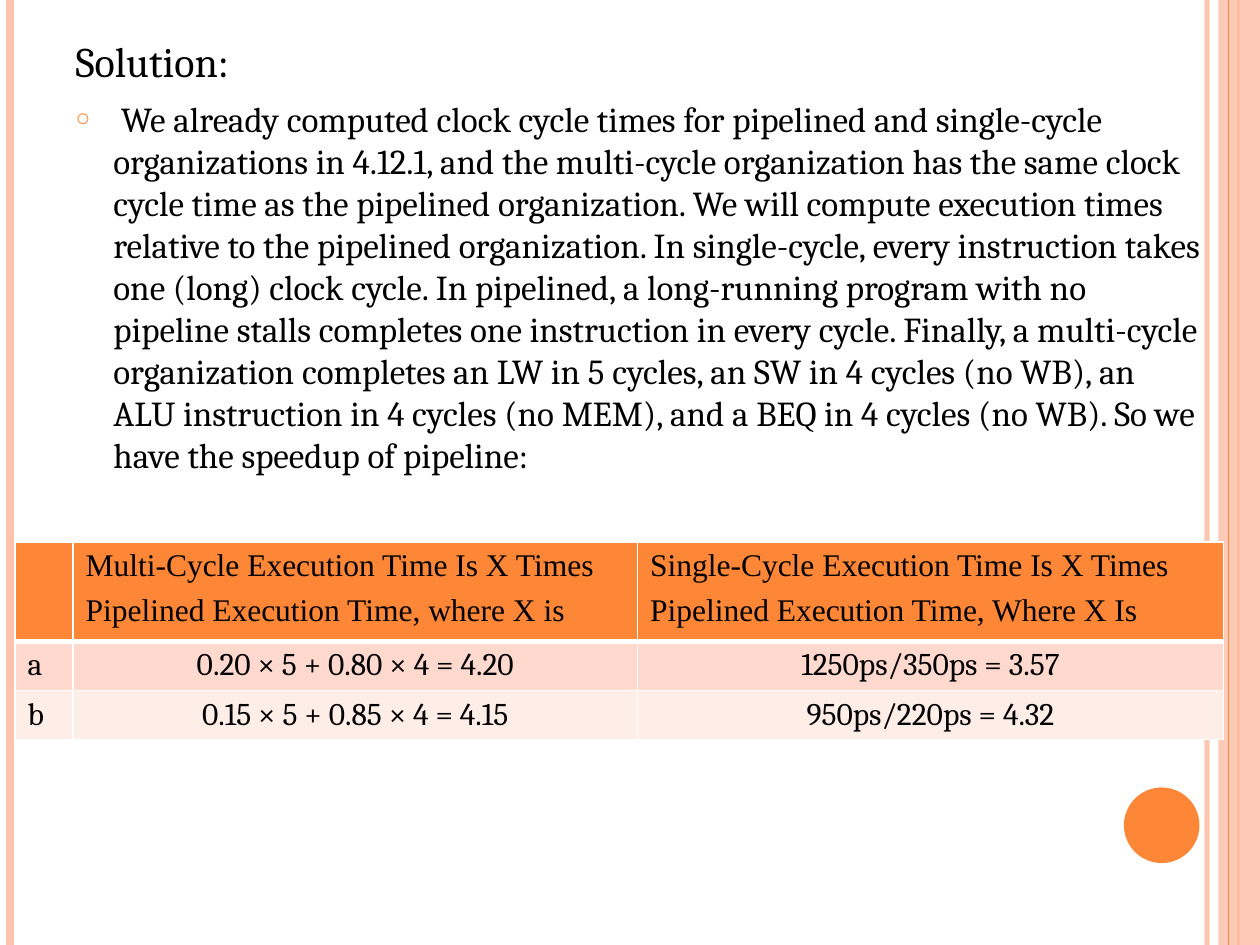
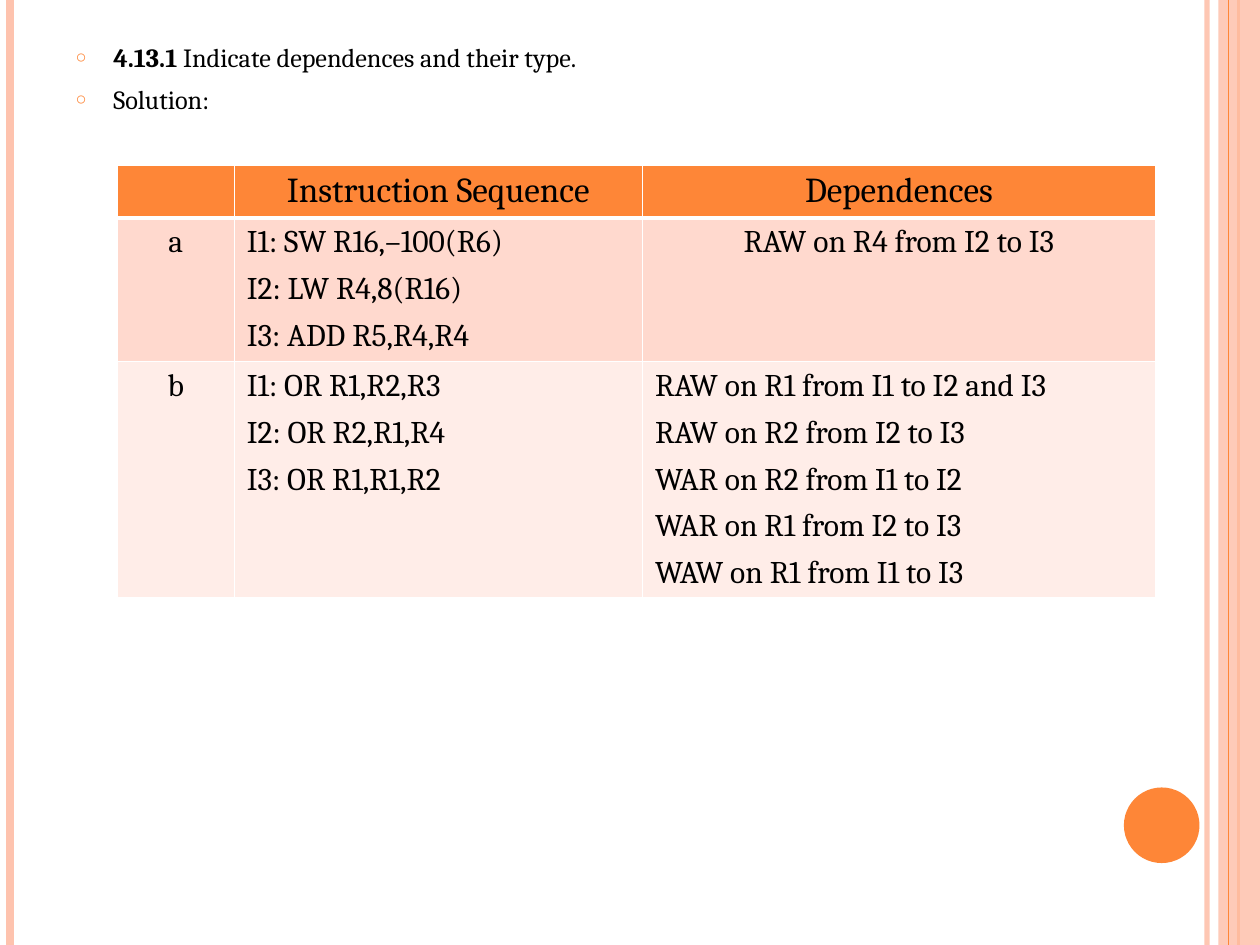
from dataclasses import dataclass

from lxml import etree
from pptx import Presentation
from pptx import util as u
from pptx.dml.color import RGBColor
from pptx.enum import shapes, text
from pptx.oxml import ns

COLUMNS, ROWS = 100, 75  # grid cells across and down the slide


@dataclass(frozen=True)
class Theme:
    accent: str = "FE8637"
    blush: str = "FEC3AE"
    ink: str = "000000"
    border: str = "FFFFFF"
    row_tints: tuple = ("FFD9CE", "FFEDE8")
    serif: str = "Cambria"
    roman: str = "Times New Roman"
    heading: int = 24
    body: int = 20
    cell: int = 18
    note: int = 15
    gap: int = 6
    hanging: float = 0.3


def add_xml(parent, tag, **attributes):
    return etree.SubElement(parent, ns.qn(tag), attributes)


def set_opacity(shape, percent):
    color = shape.element.xpath(".//a:srgbClr")[0]
    add_xml(color, "a:alpha", val=str(percent * 1000))


class Deck:
    def __init__(self, theme):
        self.theme = theme
        self.prs = Presentation()
        self.prs.slide_width, self.prs.slide_height = u.Inches(10), u.Inches(7.5)
        self.slide = None

    def x(self, columns):
        return u.Emu(round(self.prs.slide_width * columns / COLUMNS))

    def y(self, rows):
        return u.Emu(round(self.prs.slide_height * rows / ROWS))

    def box(self, left, top, width, height):
        return self.x(left), self.y(top), self.x(width), self.y(height)

    def add_slide(self):
        self.slide = self.prs.slides.add_slide(self.prs.slide_layouts[1])
        title = self.slide.shapes.title.element
        title.getparent().remove(title)

    def stripe(self, column, color, weight):
        """Draw a full-height vertical line."""
        line = self.slide.shapes.add_connector(
            shapes.MSO_CONNECTOR.STRAIGHT, self.x(column), 0, self.x(column), self.y(ROWS))
        line.line.color.rgb = RGBColor.from_string(color)
        line.line.width = u.Pt(weight)
        add_xml(line.element.spPr, "a:effectLst")
        return line

    def block(self, kind, box, color):
        block = self.slide.shapes.add_shape(kind, *self.box(*box))
        block.shadow.inherit = False
        block.fill.solid()
        block.fill.fore_color.rgb = RGBColor.from_string(color)
        block.line.fill.background()
        return block

    def decorate_master(self):
        """Draw the side bands and the disc, then hand them to the slide master."""
        t = self.theme
        inner = self.stripe(95.8, t.blush, 3)
        set_opacity(inner, 93)
        left = self.stripe(0.8, t.blush, 4.5)
        outer = self.stripe(98.3, t.accent, 1.5)
        band = self.block(shapes.MSO_SHAPE.RECTANGLE, (96.7, 0, 3.3, ROWS), t.blush)
        set_opacity(band, 87)
        hairline = self.stripe(97.5, t.accent, 0.75)
        disc = self.block(shapes.MSO_SHAPE.OVAL, (89.2, 62.5, 6, 6), t.accent)

        master_tree = self.prs.slide_master.element.cSld.spTree
        for number, part in enumerate((inner, left, outer, band, hairline, disc), 100):
            part.element.xpath(".//p:cNvPr")[0].set("id", str(number))
            master_tree.append(part.element)

    def style(self, paragraph, size, font=None):
        paragraph.font.name = font or self.theme.serif
        paragraph.font.size = u.Pt(size)
        paragraph.font.color.rgb = RGBColor.from_string(self.theme.ink)

    def body(self, box):
        body = self.slide.placeholders[1]
        body.left, body.top, body.width, body.height = self.box(*box)
        body.text_frame.auto_size = text.MSO_AUTO_SIZE.NONE
        return body.text_frame

    def body_line(self, paragraph, words, size, bullet=True, bold_start=""):
        t = self.theme
        if bold_start:
            start = paragraph.add_run()
            start.text = bold_start
            start.font.bold = True
        paragraph.add_run().text = words
        paragraph.space_before = u.Pt(t.gap)
        props = paragraph._p.get_or_add_pPr()
        props.set("marL", str(u.Inches(t.hanging)))
        props.set("indent", str(-u.Inches(t.hanging)))
        if bullet:
            add_xml(add_xml(props, "a:buClr"), "a:srgbClr", val=t.accent)
            add_xml(props, "a:buSzPct", val="70000")
            add_xml(props, "a:buChar", char="○")
        else:
            add_xml(props, "a:buNone")
        self.style(paragraph, size)

    def table(self, left, top, widths, heights, rows, header_size, header_font, centered):
        """Fill a table; centered holds the (row, column) pairs to centre."""
        frame = self.slide.shapes.add_table(
            len(rows), len(widths), *self.box(left, top, sum(widths), sum(heights)))
        table = frame.table
        table.first_row = table.horz_banding = False
        for column, width in zip(table.columns, widths):
            column.width = self.x(width)
        for row, height in zip(table.rows, heights):
            row.height = self.y(height)
        for r, row in enumerate(rows):
            size = self.theme.cell if r else header_size
            font = self.theme.serif if r else header_font
            for c, words in enumerate(row):
                self.cell(table.cell(r, c), r, words, size, font, (r, c) in centered)

    def cell(self, cell, row, words, size, font, centered):
        t = self.theme
        self.cell_borders(cell, row)
        cell.fill.solid()
        color = (t.accent, *t.row_tints)[row]
        cell.fill.fore_color.rgb = RGBColor.from_string(color)
        cell.text = words
        paragraphs = cell.text_frame.paragraphs
        for paragraph in paragraphs:
            self.style(paragraph, size, font)
            if len(paragraphs) > 1:
                paragraph.space_before = u.Pt(t.gap)
            if centered:
                paragraph.alignment = text.PP_ALIGN.CENTER

    def cell_borders(self, cell, row):
        """White rules, heavier between the header and the first row."""
        props = cell._tc.get_or_add_tcPr()
        weights = {"L": 1, "R": 1, "T": 3 if row == 1 else 1, "B": 3 if row == 0 else 1}
        for side, weight in weights.items():
            rule = add_xml(props, f"a:ln{side}", w=str(u.Pt(weight)))
            add_xml(add_xml(rule, "a:solidFill"), "a:srgbClr", val=self.theme.border)


def speedup_slide(deck):
    t = deck.theme
    solution = deck.body((5, 2.8, 91.5, 40.2))
    heading = solution.paragraphs[0]
    heading.line_spacing = 0.9
    deck.body_line(heading, "Solution:", t.heading, bullet=False)
    deck.body_line(
        solution.add_paragraph(),
        " We already computed clock cycle times for pipelined and single-cycle "
        "organizations in 4.12.1, and the multi-cycle organization has the same clock "
        "cycle time as the pipelined organization. We will compute execution times "
        "relative to the pipelined organization. In single-cycle, every instruction "
        "takes one (long) clock cycle. In pipelined, a long-running program with no "
        "pipeline stalls completes one instruction in every cycle. Finally, a "
        "multi-cycle organization completes an LW in 5 cycles, an SW in 4 cycles "
        "(no WB), an ALU instruction in 4 cycles (no MEM), and a BEQ in 4 cycles "
        "(no WB). So we have the speedup of pipeline:",
        t.body)
    speedups = [
        ("", "Multi-Cycle Execution Time Is X Times\nPipelined Execution Time, where X is",
         "Single-Cycle Execution Time Is X Times\nPipelined Execution Time, Where X Is"),
        ("a", "0.20 × 5 + 0.80 × 4 = 4.20", "1250ps/350ps = 3.57"),
        ("b", "0.15 × 5 + 0.85 × 4 = 4.15", "950ps/220ps = 4.32"),
    ]
    deck.table(1.2, 43, (4.6, 44.8, 46.5), (7.9, 3.9, 3.9), speedups,
               t.cell, t.roman, {(1, 1), (1, 2), (2, 1), (2, 2)})


def dependences_slide(deck):
    t = deck.theme
    question = deck.body((5, 2.8, 81.7, 9.5))
    deck.body_line(question.paragraphs[0], "Indicate dependences and their type.",
                   t.note, bold_start="4.13.1 ")
    deck.body_line(question.add_paragraph(), "Solution:", t.note)
    dependences = [
        ("", "Instruction Sequence", "Dependences"),
        ("a", "I1: SW R16,–100(R6)\nI2: LW R4,8(R16)\nI3: ADD R5,R4,R4",
         "RAW on R4 from I2 to I3"),
        ("b", "I1: OR R1,R2,R3\nI2: OR R2,R1,R4\nI3: OR R1,R1,R2",
         "RAW on R1 from I1 to I2 and I3\nRAW on R2 from I2 to I3\n"
         "WAR on R2 from I1 to I2\nWAR on R1 from I2 to I3\nWAW on R1 from I1 to I3"),
    ]
    deck.table(9.3, 13.1, (9.3, 32.4, 40.7), (4.1, 11.4, 18.7), dependences,
               t.body, t.serif, {(0, 1), (0, 2), (1, 0), (1, 2), (2, 0)})


def main():
    deck = Deck(Theme())
    deck.add_slide()
    deck.decorate_master()
    speedup_slide(deck)
    deck.add_slide()
    dependences_slide(deck)
    deck.prs.save("out.pptx")


if __name__ == "__main__":
    main()
